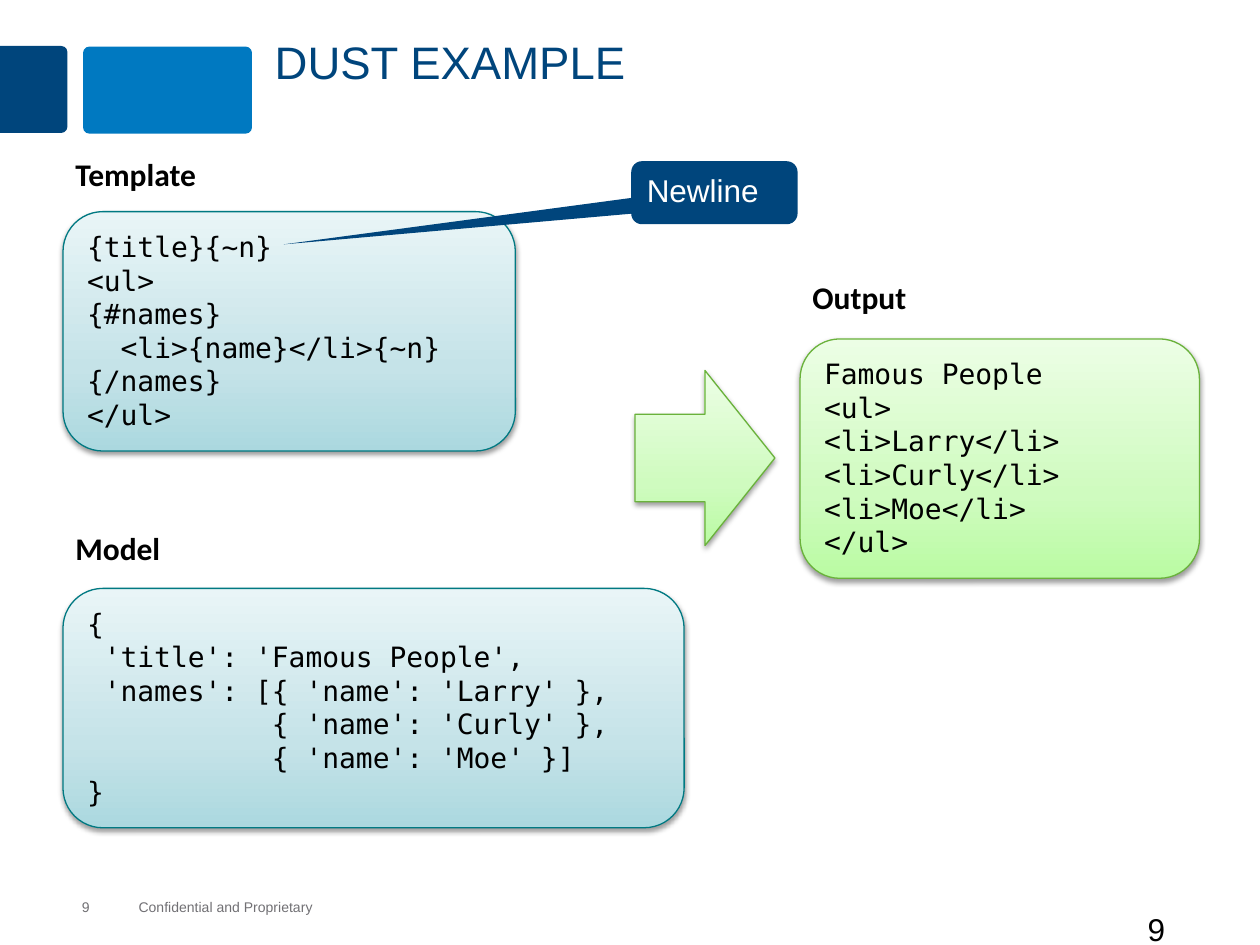
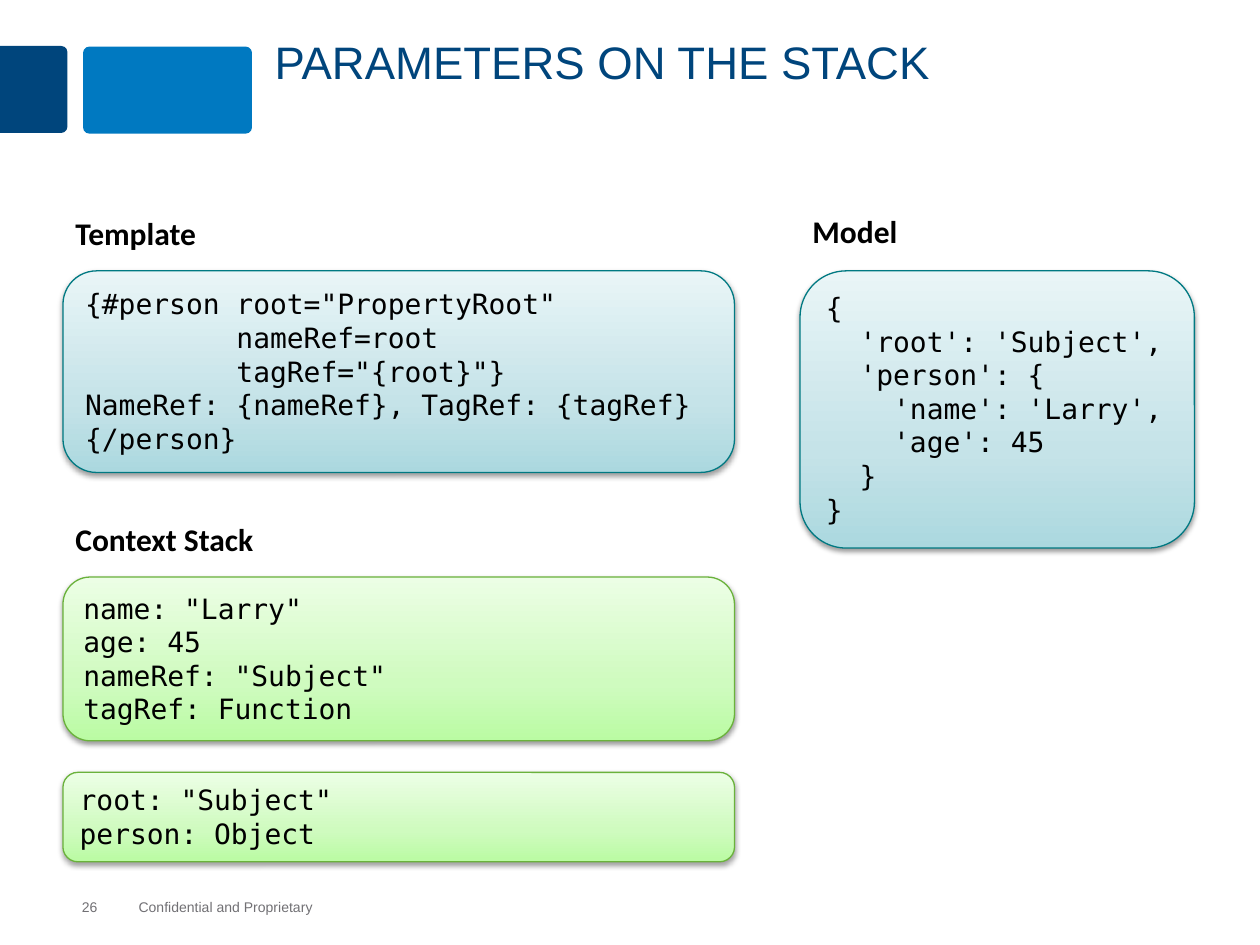
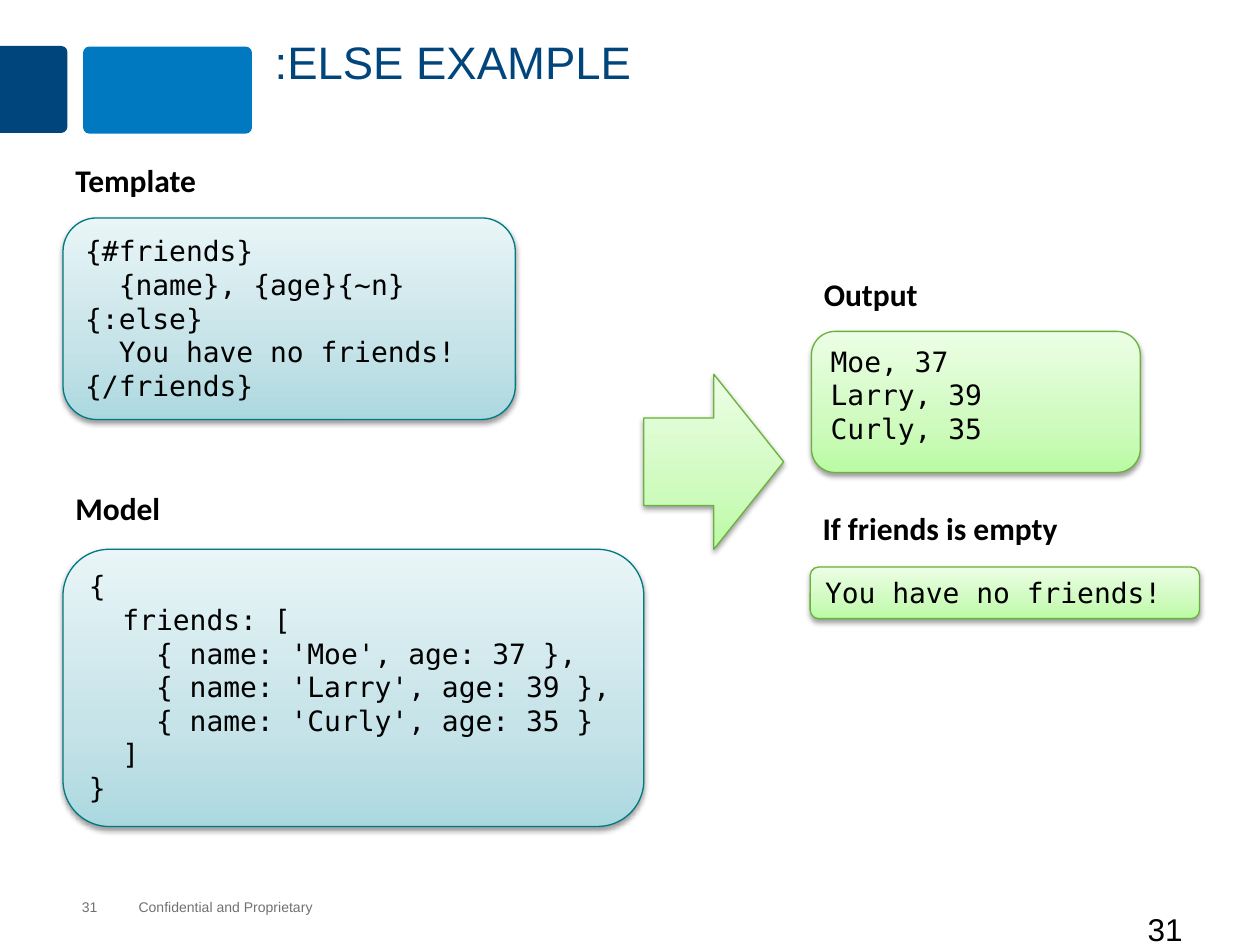
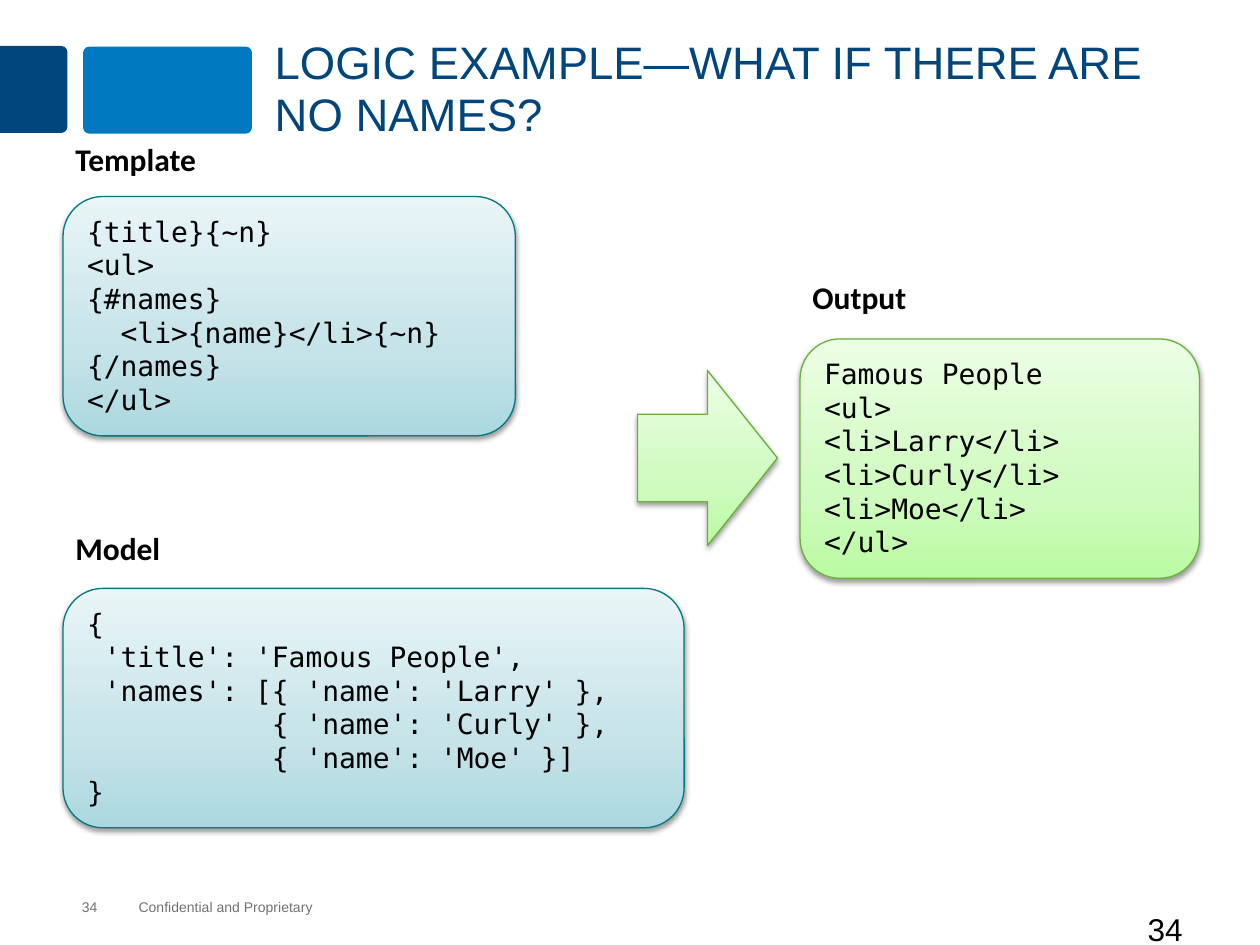
from lxml.etree import SubElement
from pptx import Presentation
from pptx.dml.color import RGBColor
from pptx.enum.shapes import MSO_SHAPE
from pptx.enum.text import MSO_ANCHOR, MSO_AUTO_SIZE, PP_ALIGN
from pptx.oxml.ns import qn
from pptx.util import Inches, Pt

COLUMNS, ROWS = 100, 75
NAVY, BLUE, GREY, BLACK, WHITE = "00457C", "0079C1", "717074", "000000", "FFFFFF"
TEAL = {"line": "007982", "stops": ((0, "ABD8DF"), (35, "C5E3E8"), (100, "E9F5F7"))}
GREEN = {"line": "6AB23B", "stops": ((0, "BAFBA3"), (35, "CFFBBF"), (100, "ECFEE5"))}
LABEL_SIZES = {"Template": (16.5, 5), "Model": (11.7, 5), "Output": (13, 5),
               "Context Stack": (19, 4), "If friends is empty": (30.9, 5)}

NAMES_TEMPLATE = """{title}{~n}
<ul>
{#names}
  <li>{name}</li>{~n}
{/names}
</ul>"""
NAMES_MODEL = """{
 'title': 'Famous People',
 'names': [{ 'name': 'Larry' },
           { 'name': 'Curly' },
           { 'name': 'Moe' }]
}"""
NAMES_OUTPUT = """Famous People
<ul>
<li>Larry</li>
<li>Curly</li>
<li>Moe</li>
</ul>"""
PARAMETER_TEMPLATE = """{#person root="PropertyRoot"
         nameRef=root
         tagRef="{root}"}
NameRef: {nameRef}, TagRef: {tagRef}
{/person}"""
PERSON_MODEL = """{
  'root': 'Subject',
  'person': {
    'name': 'Larry',
    'age': 45
  }
}"""
INNER_CONTEXT = """name: "Larry"
age: 45
nameRef: "Subject"
tagRef: Function"""
OUTER_CONTEXT = """root: "Subject"
person: Object"""
FRIENDS_TEMPLATE = """{#friends}
  {name}, {age}{~n}
{:else}
  You have no friends!
{/friends}"""
FRIENDS_MODEL = """{
  friends: [
    { name: 'Moe', age: 37 },
    { name: 'Larry', age: 39 },
    { name: 'Curly', age: 35 }
  ]
}"""
FRIENDS_OUTPUT = """Moe, 37
Larry, 39
Curly, 35"""


def color(value):
    return RGBColor.from_string(value)


class Deck:
    def __init__(self):
        self.deck = Presentation()
        self.deck.slide_width, self.deck.slide_height = Inches(10), Inches(7.5)
        self.layout = self.deck.slide_layouts[5]
        self.slide = None

    def place(self, left, top, width, height):
        column = self.deck.slide_width / COLUMNS
        row = self.deck.slide_height / ROWS
        return (round(left * column), round(top * row),
                round(width * column), round(height * row))

    def fill_text(self, box, text, size, font="Arial", ink=BLACK, bold=False,
                  anchor=MSO_ANCHOR.TOP, fit=MSO_AUTO_SIZE.NONE, wrap=True):
        frame = box.text_frame
        frame.text = text
        frame.word_wrap, frame.auto_size = wrap, fit
        frame.vertical_anchor = anchor
        for para in frame.paragraphs:
            para.alignment = PP_ALIGN.LEFT
            para.font.size, para.font.name = Pt(size), font
            para.font.bold = bold
            para.font.color.rgb = color(ink)
        return frame

    def text(self, text, at, size, **style):
        box = self.slide.shapes.add_textbox(*self.place(*at))
        self.fill_text(box, text, size, **style)
        return box

    def footer(self, text, at, wrap=True):
        box = self.text(text, at, 8, ink=GREY, anchor=MSO_ANCHOR.MIDDLE,
                        fit=MSO_AUTO_SIZE.SHAPE_TO_FIT_TEXT, wrap=wrap)
        frame = box.text_frame
        frame.margin_left = frame.margin_top = frame.margin_right = frame.margin_bottom = 0
        return box

    def solid(self, kind, at, fill, adjustments):
        shape = self.slide.shapes.add_shape(kind, *self.place(*at))
        shape.shadow.inherit = False
        shape.fill.solid()
        shape.fill.fore_color.rgb = color(fill)
        shape.line.fill.background()
        for index, value in enumerate(adjustments):
            shape.adjustments[index] = value
        return shape

    def glossy(self, kind, at, palette):
        shape = self.slide.shapes.add_shape(kind, *self.place(*at))
        shape.line.color.rgb = color(palette["line"])
        shape.line.width = Pt(0.75)
        shape.fill.gradient()
        shape.fill.gradient_angle = 90
        stops = shape.element.spPr.find(qn("a:gradFill")).find(qn("a:gsLst"))
        for stop in list(stops):
            stops.remove(stop)
        for position, value in palette["stops"]:
            stop = SubElement(stops, qn("a:gs"), pos=str(position * 1000))
            SubElement(stop, qn("a:srgbClr"), val=value)
        shape.shadow.inherit = False
        effects = shape.element.spPr.find(qn("a:effectLst"))
        shadow = SubElement(effects, qn("a:outerShdw"), blurRad=str(Pt(3.1)),
                            dist=str(Pt(1.6)), dir="5400000", rotWithShape="0")
        shade = SubElement(shadow, qn("a:srgbClr"), val=BLACK)
        SubElement(shade, qn("a:alpha"), val="38000")
        return shape

    def share(self):
        for holder in list(self.layout.placeholders)[1:]:
            holder.element.getparent().remove(holder.element)
        tab = self.solid(MSO_SHAPE.ROUND_2_SAME_RECTANGLE, (-0.8, 4.4, 6.9, 5.4), NAVY, (0.09, 0))
        tab.rotation = 90
        band = self.solid(MSO_SHAPE.ROUNDED_RECTANGLE, (6.6, 3.7, 13.4, 6.9), BLUE, (0.07,))
        notice = self.footer("Confidential and Proprietary", (11, 71.3, 14, 1.3), wrap=False)
        for shape in (tab, band, notice):
            self.layout.shapes.element.append(shape.element)

    def page(self, title, number, corner=True):
        first = self.slide is None
        self.slide = self.deck.slides.add_slide(self.layout)
        if first:
            self.share()
        heading = self.slide.shapes.title
        heading.left, heading.top, heading.width, heading.height = self.place(20.8, 2.5, 76.7, 9.1)
        frame = self.fill_text(heading, title, 26, ink=NAVY)
        frame.paragraphs[0].line_spacing = 0.95
        self.footer(str(number), (6.5, 71.3, 6.3, 1.3))
        if corner:
            self.text(str(number), (90.1, 71.7, 9.9, 5), 18)

    def code(self, text, at, palette, label=None, gap=5, breaks=True):
        panel = self.glossy(MSO_SHAPE.ROUNDED_RECTANGLE, at, palette)
        self.fill_text(panel, text.replace("\n", "\v") if breaks else text, 16,
                       font="DejaVu Sans Mono", fit=MSO_AUTO_SIZE.SHAPE_TO_FIT_TEXT)
        if label:
            left, top = at[:2]
            self.text(label, (left, top - gap, *LABEL_SIZES[label]), 18, font="Calibri",
                      bold=True, fit=MSO_AUTO_SIZE.SHAPE_TO_FIT_TEXT, wrap=False)

    def arrow(self, left, top):
        self.glossy(MSO_SHAPE.RIGHT_ARROW, (left, top, 11.1, 13.9), GREEN)

    def callout(self, text, at, adjustments):
        shape = self.solid(MSO_SHAPE.ROUNDED_RECTANGULAR_CALLOUT, at, NAVY, adjustments)
        self.fill_text(shape, text, 18, ink=WHITE)

    def names_example(self, template_top, arrow_left):
        self.code(NAMES_TEMPLATE, (5, template_top, 35.9, 19), TEAL, "Template")
        self.code(NAMES_MODEL, (5, 46.7, 49.3, 19), TEAL, "Model", 5.2)
        self.code(NAMES_OUTPUT, (63.5, 26.9, 31.7, 19), GREEN, "Output", 5.3)
        self.arrow(arrow_left, 29.4)


def main():
    deck = Deck()

    deck.page("DUST EXAMPLE", 9)
    deck.names_example(16.8, 50.4)
    deck.callout("Newline", (50.1, 12.8, 13.2, 5), (-2.59, 0.82, 0.17))

    deck.page("PARAMETERS ON THE STACK", 26, corner=False)
    deck.code(PARAMETER_TEMPLATE, (5, 21.5, 53.3, 16), TEAL, "Template")
    deck.code(PERSON_MODEL, (63.5, 21.5, 31.3, 22), TEAL, "Model", 5.2)
    deck.code(INNER_CONTEXT, (5, 45.8, 53.3, 13), GREEN, "Context Stack", breaks=False)
    deck.code(OUTER_CONTEXT, (5, 61.3, 53.3, 7.1), GREEN, breaks=False)

    deck.page(":ELSE EXAMPLE", 31)
    deck.code(FRIENDS_TEMPLATE, (5, 17.3, 35.9, 16), TEAL, "Template")
    deck.code(FRIENDS_MODEL, (5, 43.6, 46.1, 22), TEAL, "Model", 5.3)
    deck.code(FRIENDS_OUTPUT, (64.4, 26.3, 26.1, 11.2), GREEN, "Output", breaks=False)
    deck.arrow(51.1, 29.7)
    deck.code("You have no friends!", (64.3, 45, 30.9, 4.1), GREEN, "If friends is empty", 5.1)

    deck.page("LOGIC EXAMPLE—WHAT IF THERE ARE NO NAMES?", 34)
    deck.names_example(15.6, 50.6)

    deck.deck.save("out.pptx")


if __name__ == "__main__":
    main()
